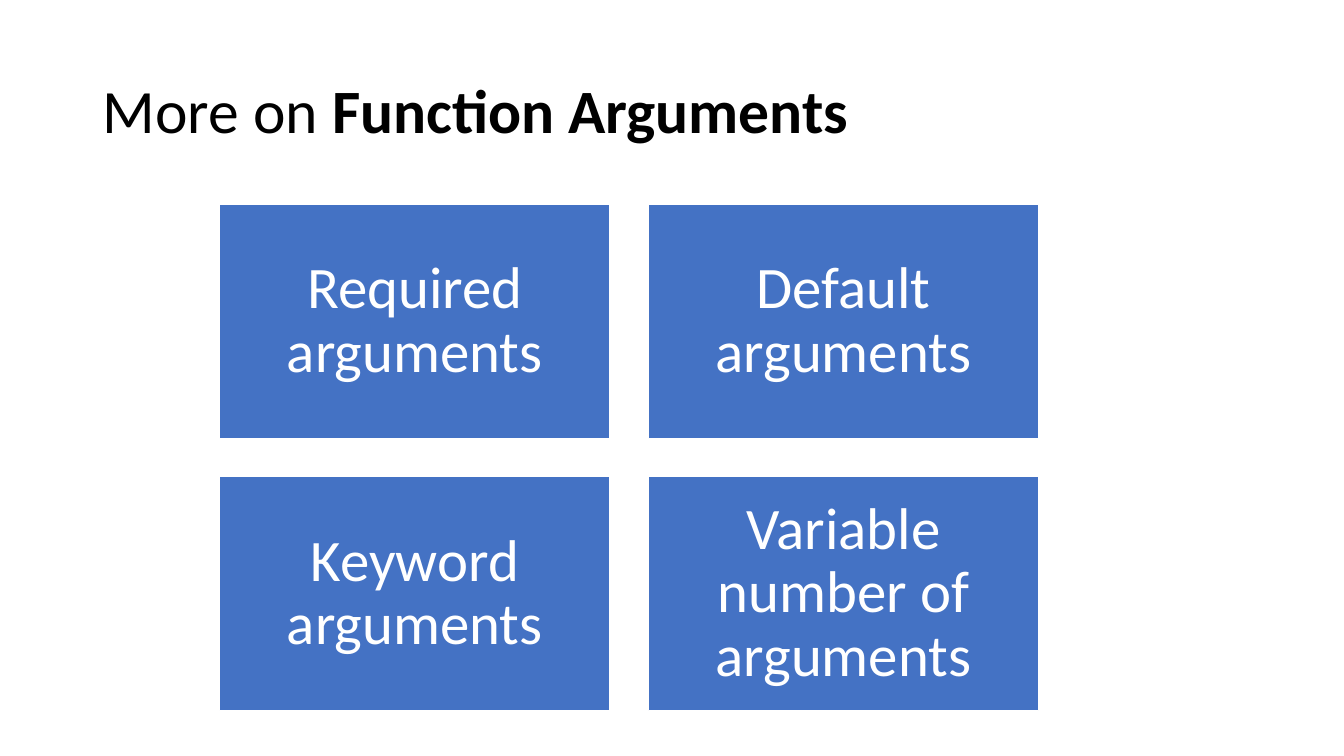
from dataclasses import dataclass

from pptx import Presentation
from pptx import util as u
from pptx.dml.color import RGBColor
from pptx.enum import shapes, text
from pptx.slide import Slide

EMU_PER_PX = 9144
FONT = "Calibri"
BLACK = RGBColor(0x00, 0x00, 0x00)
WHITE = RGBColor(0xFF, 0xFF, 0xFF)
BLUE = RGBColor(0x44, 0x72, 0xC4)

CARD_WIDTH, CARD_HEIGHT = 387, 232
CARD_GAP = 38
GRID_LEFT, GRID_TOP = 218, 203
COLUMNS = 2
CARD_INSET = 17


@dataclass(frozen=True)
class Card:
    label: str
    column: int
    row: int


LABELS = (
    "Required arguments",
    "Default arguments",
    "Keyword arguments",
    "Variable number of arguments",
)
CARDS = [Card(label, i % COLUMNS, i // COLUMNS) for i, label in enumerate(LABELS)]


def px(length: int) -> u.Emu:
    return u.Emu(length * EMU_PER_PX)


def draw_title(slide: Slide) -> None:
    shape = slide.shapes.add_textbox(px(92), px(40), px(1150), px(145))
    frame = shape.text_frame
    frame.word_wrap = True
    frame.vertical_anchor = text.MSO_ANCHOR.MIDDLE
    paragraph = frame.paragraphs[0]
    paragraph.line_spacing = 0.9
    paragraph.font.name = FONT
    paragraph.font.size = u.Pt(44)
    paragraph.font.color.rgb = BLACK
    paragraph.add_run().text = "More on "
    topic = paragraph.add_run()
    topic.text = "Function Arguments"
    topic.font.bold = True


def draw_card(slide: Slide, card: Card) -> None:
    shape = slide.shapes.add_shape(
        shapes.MSO_SHAPE.RECTANGLE,
        px(GRID_LEFT + card.column * (CARD_WIDTH + CARD_GAP)),
        px(GRID_TOP + card.row * (CARD_HEIGHT + CARD_GAP)),
        px(CARD_WIDTH),
        px(CARD_HEIGHT),
    )
    shape.shadow.inherit = False
    shape.fill.solid()
    shape.fill.fore_color.rgb = BLUE
    shape.line.color.rgb = WHITE
    shape.line.width = u.Pt(1)
    frame = shape.text_frame
    frame.word_wrap = True
    frame.vertical_anchor = text.MSO_ANCHOR.MIDDLE
    frame.margin_left = frame.margin_right = px(CARD_INSET)
    frame.margin_top = frame.margin_bottom = px(CARD_INSET)
    paragraph = frame.paragraphs[0]
    paragraph.text = card.label
    paragraph.alignment = text.PP_ALIGN.CENTER
    paragraph.line_spacing = 0.9
    paragraph.font.name = FONT
    paragraph.font.size = u.Pt(42)
    paragraph.font.color.rgb = WHITE


def main() -> None:
    presentation = Presentation()
    presentation.slide_width = px(1333)
    presentation.slide_height = px(750)
    slide = presentation.slides.add_slide(presentation.slide_layouts[6])
    draw_title(slide)
    for card in CARDS:
        draw_card(slide, card)
    presentation.save("out.pptx")


if __name__ == "__main__":
    main()
